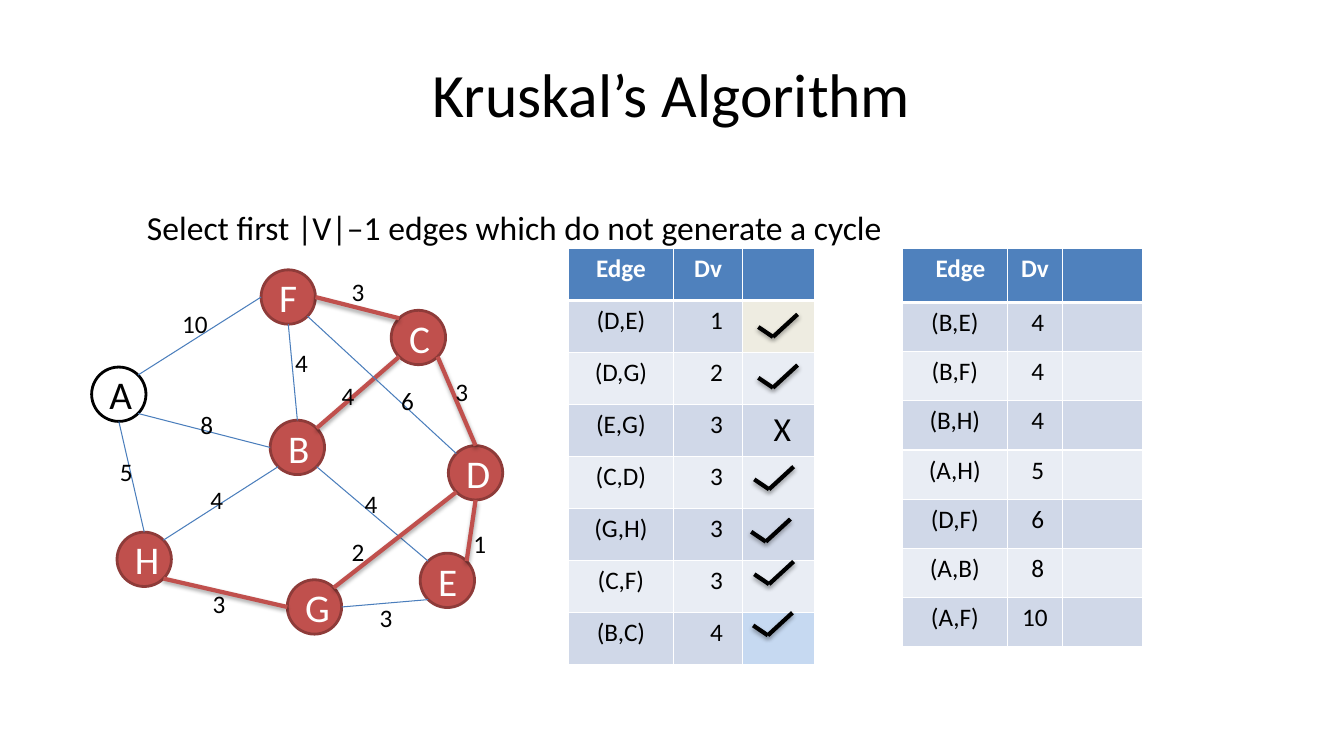
from lxml import etree
from pptx import Presentation
from pptx.dml.color import RGBColor
from pptx.enum.shapes import MSO_CONNECTOR, MSO_SHAPE
from pptx.enum.text import MSO_ANCHOR, MSO_AUTO_SIZE, PP_ALIGN
from pptx.oxml import parse_xml
from pptx.oxml.ns import nsdecls, qn
from pptx.util import Cm, Pt

# Content
TITLE = "Kruskal’s Algorithm"
RULE = "Select first |V|–1 edges which do not generate a cycle"

NODE_SIZE = 1.37
NODES = {  # left, top in cm
    "F": (6.58, 6.8), "A": (2.31, 9.25), "H": (2.95, 13.41), "G": (7.24, 14.61),
    "E": (10.59, 13.94), "D": (11.3, 11.23), "C": (9.86, 7.82), "B": (6.81, 10.59),
}
UNVISITED = "A"

# node, side, node, side, weight, label left and top in cm, chosen
EDGES = [
    ("F", "W", "A", "NE", "10", 4.34, 7.65, False),
    ("A", "S", "H", "N", "5", 2.77, 11.38, False),
    ("H", "SE", "G", "W", "3", 5.11, 14.71, True),
    ("G", "E", "E", "SW", "3", 9.32, 15.06, False),
    ("E", "NE", "D", "S", "1", 11.68, 13.18, True),
    ("D", "N", "C", "SE", "3", 11.23, 9.35, True),
    ("C", "NW", "F", "E", "3", 8.61, 6.83, True),
    ("B", "NE", "C", "SW", "4", 8.36, 9.45, True),
    ("B", "N", "F", "S", "4", 7.19, 8.64, False),
    ("B", "W", "A", "SE", "8", 4.8, 10.19, False),
    ("B", "SW", "H", "NE", "4", 5.05, 12.09, False),
    ("B", "SE", "E", "NW", "4", 8.94, 12.19, False),
    ("D", "NW", "F", "SE", "6", 9.86, 9.58, False),
    ("D", "SW", "G", "NE", "2", 8.61, 13.39, True),
]

HEADER = ("Edge", "Dv", "")
TABLES = [
    dict(left=14.33, top=6.27, columns=(2.64, 1.75, 1.81), header=1.3, row=1.31,
         edge_shift=0, digit_shift=0.43, fills={1: "EEECE1", 7: "C6D9F1"},
         rows=[("(D,E)", "1", ""), ("(D,G)", "2", ""), ("(E,G)", "3", "X"),
               ("(C,D)", "3", ""), ("(G,H)", "3", ""), ("(C,F)", "3", ""),
               ("(B,C)", "4", "")]),
    dict(left=22.73, top=6.25, columns=(2.67, 1.37, 2.03), header=1.37, row=1.24,
         edge_shift=0.28, digit_shift=0.14, fills={},
         rows=[("(B,E)", "4", ""), ("(B,F)", "4", ""), ("(B,H)", "4", ""),
               ("(A,H)", "5", ""), ("(D,F)", "6", ""), ("(A,B)", "8", ""),
               ("(A,F)", "10", "")]),
]
CHECK_ELBOWS = [(19.48, 8.49), (19.48, 9.77), (19.38, 12.33),
                (19.3, 13.65), (19.38, 14.72), (19.35, 16.01)]
CHECK_STROKES = [(-0.37, -0.25), (0.62, -0.57)]

BLACK, WHITE, RED, DARK_RED, BLUE = "000000", "FFFFFF", "C0504D", "8E3B39", "4B7EBC"
HEADER_FILL, BANDS = "4F81BD", ("E9EDF4", "D0D8E8")


def colour(code):
    return RGBColor.from_string(code)


def write(para, text, size, code=BLACK, bold=False):
    span = para.add_run()
    span.text = text
    span.font.name, span.font.size, span.font.bold = "Calibri", Pt(size), bold
    span.font.color.rgb = colour(code)


def place(shape, left, top, width, height):
    shape.left, shape.top, shape.width, shape.height = map(Cm, (left, top, width, height))


def draw_line(group, start, end, code, weight, shadow):
    line = group.shapes.add_connector(MSO_CONNECTOR.STRAIGHT, *map(Cm, (*start, *end)))
    line.line.color.rgb = colour(code)
    line.line.width = Pt(weight)
    content = ('<a:outerShdw blurRad="40000" dist="23000" dir="5400000" rotWithShape="0">'
               '<a:srgbClr val="000000"><a:alpha val="35000"/></a:srgbClr>'
               '</a:outerShdw>') if shadow else ""
    line._element.spPr.append(
        parse_xml(f'<a:effectLst {nsdecls("a")}>{content}</a:effectLst>'))


def site(name, side):
    """Point on a node's rim in the given compass direction."""
    x = ("E" in side) - ("W" in side)
    y = ("S" in side) - ("N" in side)
    reach = NODE_SIZE / 2 / (x * x + y * y) ** 0.5
    left, top = NODES[name]
    return left + NODE_SIZE / 2 + x * reach, top + NODE_SIZE / 2 + y * reach


def style_cell(cell, fill, is_header):
    properties = cell._tc.get_or_add_tcPr()
    for side in "LRTB":
        thick = (is_header and side == "B")
        properties.append(parse_xml(
            f'<a:ln{side} {nsdecls("a")} w="{Pt(3 if thick else 1)}">'
            f'<a:solidFill><a:srgbClr val="{WHITE}"/></a:solidFill></a:ln{side}>'))
    cell.fill.solid()
    cell.fill.fore_color.rgb = colour(fill)


def draw_table(page, data):
    lines = [HEADER] + data["rows"]
    height = data["header"] + data["row"] * len(data["rows"])
    table = page.shapes.add_table(
        len(lines), len(HEADER),
        *map(Cm, (data["left"], data["top"], sum(data["columns"]), height))).table
    for column, width in zip(table.columns, data["columns"]):
        column.width = Cm(width)
    for r, texts in enumerate(lines):
        table.rows[r].height = Cm(data["row"] if r else data["header"])
        for c, text in enumerate(texts):
            cell = table.cell(r, c)
            fill = BANDS[r % 2] if r else HEADER_FILL
            if c == 2:
                fill = data["fills"].get(r, fill)
            style_cell(cell, fill, r == 0)
            if not text:
                continue
            # Nudge centred text to the right
            shift = 0
            if text == "Edge":
                shift = data["edge_shift"]
            elif text == "X":
                shift = 0.19
            elif len(text) == 1:
                shift = data["digit_shift"]
            cell.margin_left = Cm(0.25 + shift)
            para = cell.text_frame.paragraphs[0]
            para.alignment = PP_ALIGN.CENTER
            write(para, text, 24 if text == "X" else 18, BLACK if r else WHITE, r == 0)


def draw_graph(page):
    graph = page.shapes.add_group_shape()
    for name, (left, top) in NODES.items():
        plain = name == UNVISITED
        node = graph.shapes.add_shape(
            MSO_SHAPE.OVAL, *map(Cm, (left, top, NODE_SIZE, NODE_SIZE)))
        node.shadow.inherit = False
        node.fill.solid()
        node.fill.fore_color.rgb = colour(WHITE if plain else RED)
        node.line.color.rgb = colour(BLACK if plain else DARK_RED)
        node.line.width = Pt(2)
        node.text_frame.vertical_anchor = MSO_ANCHOR.MIDDLE
        para = node.text_frame.paragraphs[0]
        para.alignment = PP_ALIGN.CENTER
        write(para, name, 28, BLACK if plain else WHITE)
    for first, side, second, other_side, weight, left, top, chosen in EDGES:
        draw_line(graph, site(first, side), site(second, other_side),
                  RED if chosen else BLUE, 3 if chosen else 0.75, chosen)
        label = graph.shapes.add_textbox(
            *map(Cm, (left, top, 0.67 * len(weight), 0.82)))
        label.text_frame.word_wrap = True
        write(label.text_frame.paragraphs[0], weight, 18)


def main():
    deck = Presentation()
    deck.slide_width, deck.slide_height = Cm(33.87), Cm(19.05)
    page = deck.slides.add_slide(deck.slide_layouts[1])

    # Title and rule
    title, body = page.placeholders
    place(title, 1.69, 0.76, 30.48, 3.18)
    title.text_frame.vertical_anchor = MSO_ANCHOR.MIDDLE
    para = title.text_frame.paragraphs[0]
    para.alignment = PP_ALIGN.CENTER
    write(para, TITLE, 44)
    place(body, 3.45, 5.08, 29.21, 13.95)
    body.text_frame.auto_size = MSO_AUTO_SIZE.NONE
    para = body.text_frame.paragraphs[0]
    properties = para._p.get_or_add_pPr()
    properties.set("marL", "0")
    properties.set("indent", "0")
    etree.SubElement(properties, qn("a:buNone"))
    para.space_before = Pt(0)
    write(para, RULE, 24)

    # Graph, edge tables and check marks
    draw_graph(page)
    for data in TABLES:
        draw_table(page, data)
    for x, y in CHECK_ELBOWS:
        check = page.shapes.add_group_shape()
        for dx, dy in CHECK_STROKES:
            draw_line(check, (x, y), (x + dx, y + dy), BLACK, 3, True)

    deck.save("out.pptx")


if __name__ == "__main__":
    main()
